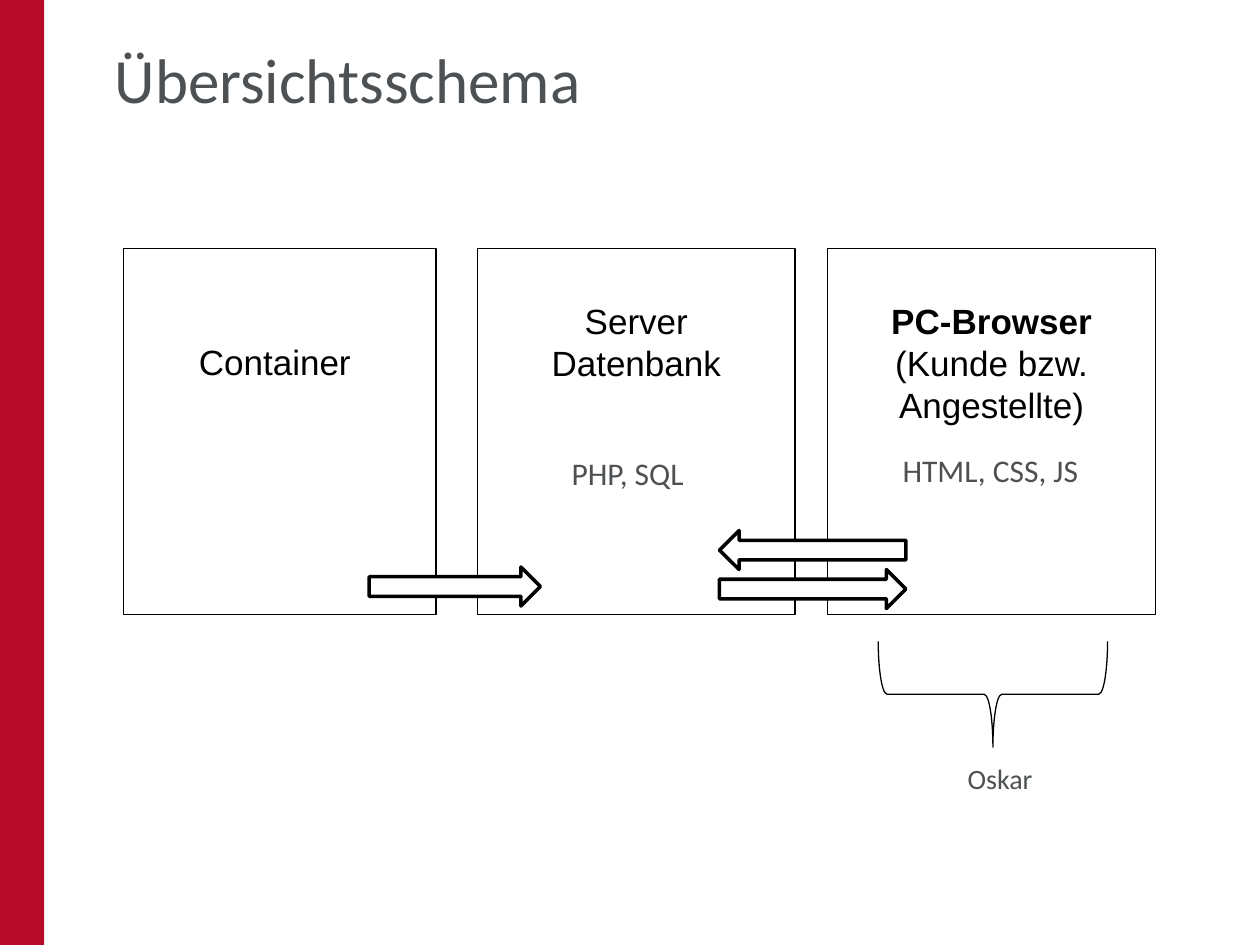
from pptx import Presentation
from pptx.dml.color import RGBColor
from pptx.enum.shapes import MSO_SHAPE as Preset
from pptx.enum.text import MSO_ANCHOR as Anchor, MSO_AUTO_SIZE as AutoSize, PP_ALIGN as Align
from pptx.util import Inches, Pt

COLORS = {"accent": "B70C29", "text": "4D5153", "black": "000000", "white": "FFFFFF"}

TITLE = "Übersichtsschema"
STATION_TOP, STATION_HEIGHT = 1.97, 2.91
STATIONS = [
    {"left": 0.98, "width": 2.48, "fill": None, "inset": 0.73, "lines": [("Container ", False)]},
    {"left": 3.79, "width": 2.52, "fill": "white", "inset": 0.41,
     "lines": [("Server", False), ("Datenbank", False)]},
    {"left": 6.57, "width": 2.6, "fill": "white", "inset": 0.41,
     "lines": [("PC-Browser", True), ("(Kunde bzw. Angestellte)", False)]},
]
FLOWS = [(2.93, 4.5, 1.36, 0), (5.71, 4.52, 1.48, 0), (5.71, 4.21, 1.48, 180)]
FLOW_HEIGHT = 0.31
LABELS = [
    ("PHP, SQL ", 4.1, 3.48, 1.82, 18, Align.CENTER),
    ("HTML, CSS, JS", 6.95, 3.46, 1.82, 18, Align.CENTER),
    ("Oskar", 7.68, 5.94, 0.79, 16, Align.LEFT),
]
LABEL_HEIGHT = 0.38


def write(frame, lines, *, size, font="Calibri", color="text", align=Align.LEFT,
          spacing=None, insets=(0, 0, 0, 0), anchor=Anchor.TOP, fit=AutoSize.NONE):
    frame.word_wrap = True
    frame.auto_size = fit
    frame.vertical_anchor = anchor
    frame.margin_left, frame.margin_top, frame.margin_right, frame.margin_bottom = map(Inches, insets)
    for index, (words, bold) in enumerate(lines):
        paragraph = frame.paragraphs[0] if index == 0 else frame.add_paragraph()
        paragraph.alignment = align
        paragraph.line_spacing = spacing
        run = paragraph.add_run()
        run.text = words
        run.font.name, run.font.size, run.font.bold = font, Pt(size), bold
        run.font.color.rgb = RGBColor.from_string(COLORS[color])


def draw(slide, preset, left, top, width, height, fill=None, line=None, rotation=0):
    shape = slide.shapes.add_shape(preset, *map(Inches, (left, top, width, height)))
    shape.shadow.inherit = False
    shape.rotation = rotation
    if fill:
        shape.fill.solid()
        shape.fill.fore_color.rgb = RGBColor.from_string(COLORS[fill])
    else:
        shape.fill.background()
    if line:
        shape.line.color.rgb = RGBColor.from_string(COLORS["black"])
        shape.line.width = Pt(line)
    else:
        shape.line.fill.background()
    return shape


def main():
    deck = Presentation()
    deck.slide_width, deck.slide_height = Inches(10), Inches(7.5)
    slide = deck.slides.add_slide(deck.slide_layouts[5])

    draw(slide, Preset.RECTANGLE, 0, 0, 0.35, 7.5, fill="accent")

    title = slide.shapes.title
    title.left, title.top, title.width, title.height = map(Inches, (0.91, 0.23, 8.35, 0.78))
    write(title.text_frame, [(TITLE, False)], size=36,
          insets=(0, 0.05, 0, 0.05), anchor=Anchor.MIDDLE)

    for station in STATIONS:
        box = draw(slide, Preset.RECTANGLE, station["left"], STATION_TOP, station["width"],
                   STATION_HEIGHT, fill=station["fill"], line=0.75)
        write(box.text_frame, station["lines"], size=20, font="Arial", color="black",
              align=Align.CENTER, spacing=Pt(24), insets=(0.1, station["inset"], 0.1, 0.05))

    for left, top, width, rotation in FLOWS:
        draw(slide, Preset.RIGHT_ARROW, left, top, width, FLOW_HEIGHT,
             fill="white", line=2, rotation=rotation)

    draw(slide, Preset.RIGHT_BRACE, 7.46, 4.6, 0.84, 1.82, line=0.75, rotation=90)

    for words, left, top, width, size, align in LABELS:
        label = slide.shapes.add_textbox(*map(Inches, (left, top, width, LABEL_HEIGHT)))
        write(label.text_frame, [(words, False)], size=size, align=align,
              spacing=1.4, fit=AutoSize.SHAPE_TO_FIT_TEXT)

    deck.save("out.pptx")


if __name__ == "__main__":
    main()
